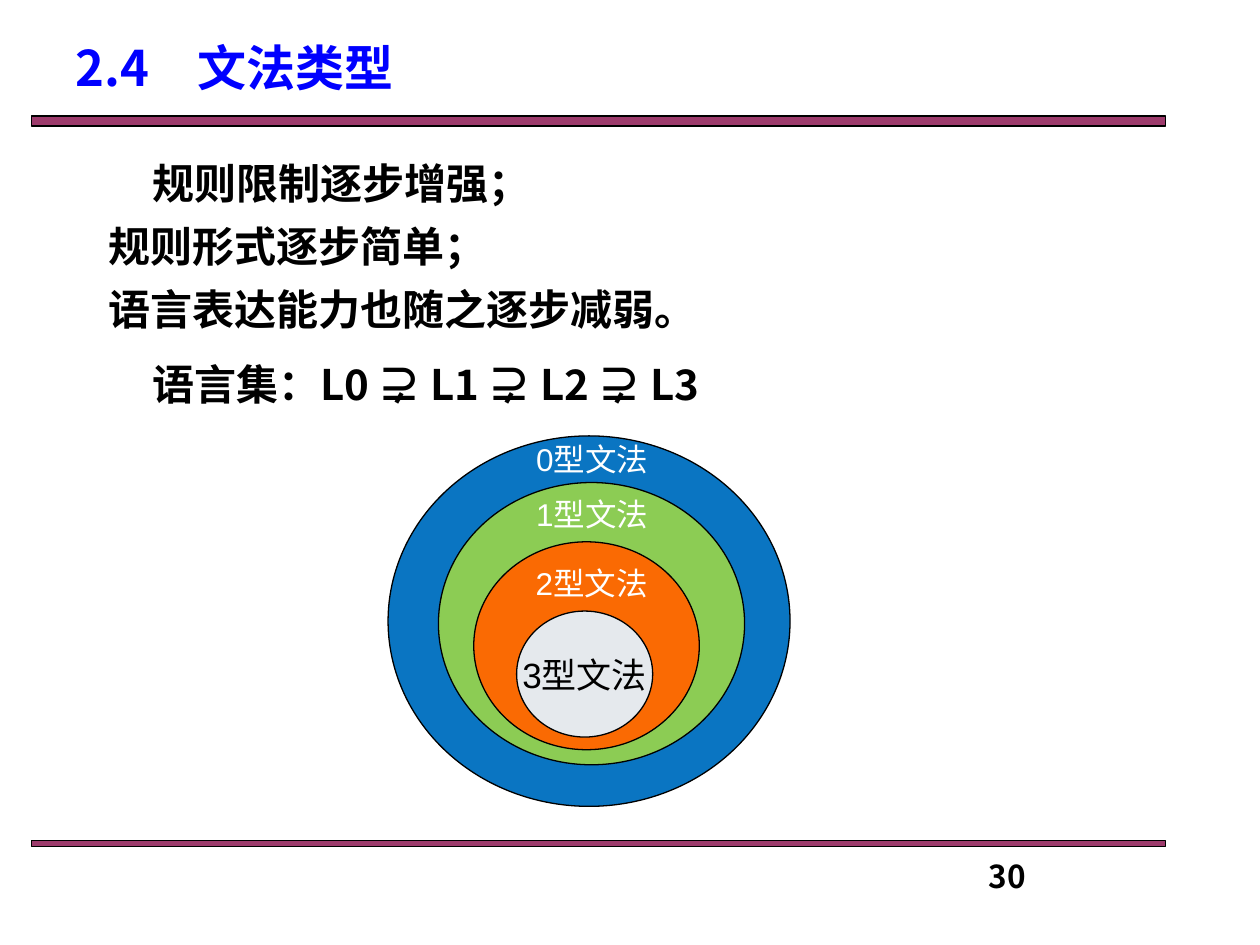
from lxml import etree
from pptx import Presentation
from pptx.dml.color import RGBColor
from pptx.enum.shapes import MSO_SHAPE
from pptx.enum.text import MSO_ANCHOR, PP_ALIGN
from pptx.oxml.ns import qn
from pptx.util import Inches, Pt

RECTANGLE, OVAL = MSO_SHAPE.RECTANGLE, MSO_SHAPE.OVAL
CENTER, MIDDLE = PP_ALIGN.CENTER, MSO_ANCHOR.MIDDLE
HEADING_FONT, DIAGRAM_FONT = "Noto Sans CJK SC", "Arial"
COLORS = {
    "rule": "993366", "title": "0000FF", "black": "000000", "white": "FFFFFF",
    "type0": "0070C0", "type1": "92D050", "type2": "FF6600", "type3": "E5EFF7",
}


def add_filled_shape(shapes, kind, box, color):
    shape = shapes.add_shape(kind, *map(Inches, box))
    shape.shadow.inherit = False
    shape.fill.solid()
    shape.fill.fore_color.rgb = RGBColor.from_string(COLORS[color])
    # Slight transparency
    fill_color = shape._element.spPr.find(qn("a:solidFill"))[0]
    etree.SubElement(fill_color, qn("a:alpha")).set("val", "96000")
    shape.line.color.rgb = RGBColor.from_string(COLORS["black"])
    shape.line.width = Pt(0.75)
    return shape


def write_text(shape, text, size, color, font_name, bold=False, wrap=True):
    shape.text_frame.word_wrap = wrap
    shape.text_frame.text = text
    for paragraph in shape.text_frame.paragraphs:
        font = paragraph.font
        font.size, font.bold, font.name = Pt(size), bold, font_name
        font.color.rgb = RGBColor.from_string(COLORS[color])
        # East Asian glyphs use the heading font
        for run in paragraph.runs:
            properties = run._r.get_or_add_rPr()
            etree.SubElement(properties, qn("a:ea")).set("typeface", HEADING_FONT)
    return shape.text_frame.paragraphs


presentation = Presentation()
presentation.slide_width, presentation.slide_height = Inches(10), Inches(7.5)
slide = presentation.slides.add_slide(presentation.slide_layouts[6])

# Rules above and below the content
for top, height in [(0.92, 0.08), (6.67, 0.05)]:
    add_filled_shape(slide.shapes, RECTANGLE, (0.25, top, 9, height), "rule")

# Body: the first line of each paragraph is indented further than the rest
body = slide.shapes.add_textbox(Inches(0.46), Inches(1.1), Inches(8.83), Inches(2.17))
body_text = (
    "规则限制逐步增强；\v规则形式逐步简单；\v语言表达能力也随之逐步减弱。\n"
    "语言集：L0 ⊋ L1 ⊋ L2 ⊋ L3"
)
for paragraph in write_text(body, body_text, 24, "black", HEADING_FONT, bold=True):
    paragraph.line_spacing = Pt(36)
    paragraph.space_before = Pt(7)
    properties = paragraph._p.get_or_add_pPr()
    properties.set("marL", str(Inches(0.3)))
    properties.set("indent", str(Inches(0.35)))

# Title and page number
title = slide.shapes.add_textbox(Inches(0.5), Inches(0.25), Inches(3.07), Inches(0.58))
write_text(title, "2.4　文法类型", 28, "title", HEADING_FONT, bold=True)
page_number = slide.shapes.add_textbox(Inches(7.75), Inches(6.75), Inches(2.33), Inches(0.42))
write_text(page_number, "30", 18, "black", HEADING_FONT, bold=True)

# Nested grammar types, outermost first: ellipse box, label box
diagram = slide.shapes.add_group_shape().shapes
outer_types = [
    ((3.08, 3.46, 3.19, 2.94), (3.96, 3.44, 1.48, 0.4)),
    ((3.48, 3.83, 2.43, 2.24), (3.96, 3.88, 1.48, 0.4)),
    ((3.76, 4.3, 1.79, 1.65), (3.99, 4.43, 1.41, 0.4)),
]
for level, (ellipse_box, _) in enumerate(outer_types):
    add_filled_shape(diagram, OVAL, ellipse_box, f"type{level}")
for level, (_, label_box) in enumerate(outer_types):
    label = diagram.add_textbox(*map(Inches, label_box))
    write_text(label, f"{level}型文法", 18, "white", DIAGRAM_FONT)[0].alignment = CENTER

# Innermost type carries its own label
innermost = add_filled_shape(diagram, OVAL, (4.1, 4.85, 1.08, 1), "type3")
innermost.text_frame.vertical_anchor = MIDDLE
write_text(innermost, "3型文法", 20, "black", DIAGRAM_FONT, wrap=False)[0].alignment = CENTER

presentation.save("out.pptx")
